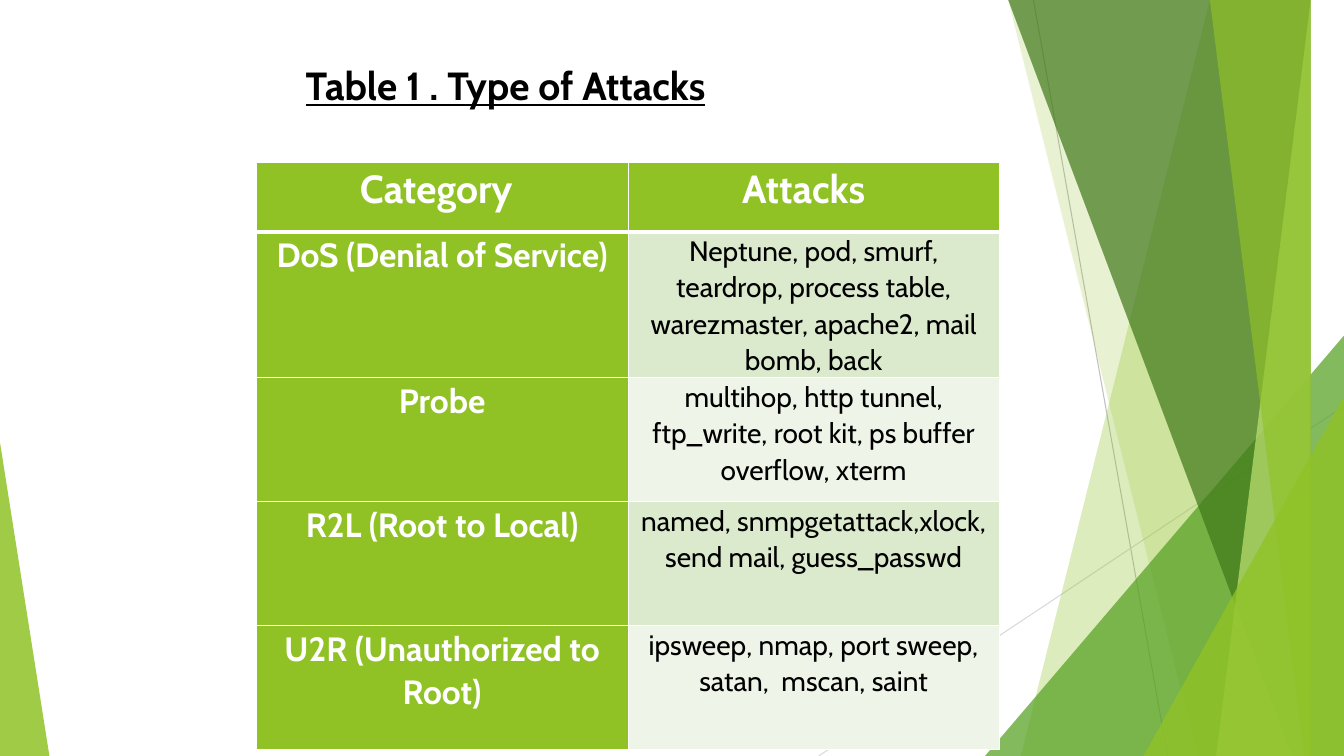
from lxml.etree import SubElement
from pptx import Presentation
from pptx.dml.color import RGBColor
from pptx.enum.shapes import MSO_CONNECTOR as CONNECTOR, MSO_SHAPE as SHAPE
from pptx.enum.text import MSO_AUTO_SIZE as AUTO_SIZE, PP_ALIGN as ALIGN
from pptx.oxml.ns import qn
from pptx.util import Inches, Pt

WIDTH, HEIGHT, BLEED = 13.33, 7.5, -0.01
GREEN, WHITE, BLACK = "90C226", "FFFFFF", "000000"
BANDS = ("DBE9CD", "EEF4E8")

HEADERS = (("Category", 1.03), ("Attacks", 1.13))
ATTACKS = (
    ("DoS (Denial of Service)",
     "Neptune, pod, smurf, teardrop, process table, warezmaster, apache2, mail bomb, back"),
    ("Probe",
     "multihop, http tunnel, ftp_write, root kit, ps buffer overflow, xterm"),
    ("R2L (Root to Local)",
     "named, snmpgetattack,xlock, send mail, guess_passwd"),
    ("U2R (Unauthorized to Root)",
     "ipsweep, nmap, port sweep, satan,  mscan, saint"),
)


def rgb(color):
    return RGBColor.from_string(color)


def apply(target, values):
    for name, value in values.items():
        setattr(target, name, value)


class SlideBuilder:
    font = "Cabin"

    def __init__(self, s):
        self.s = s

    def paint(self, sp, color, alpha):
        sp.shadow.inherit = False
        sp.fill.solid()
        sp.fill.fore_color.rgb = rgb(color)
        sp.line.fill.background()
        clr = sp._element.spPr.find(".//" + qn("a:srgbClr"))
        SubElement(clr, qn("a:alpha"), val=str(alpha * 1000))

    def line(self, x1, y1, x2, y2, color):
        ends = (Inches(v) for v in (x1, y1, x2, y2))
        cn = self.s.shapes.add_connector(CONNECTOR.STRAIGHT, *ends)
        cn.line.color.rgb = rgb(color)
        cn.line.width = Pt(0.75)
        SubElement(cn._element.spPr, qn("a:effectLst"))

    def facet(self, top_x, bottom_x, color, alpha):
        fb = self.s.shapes.build_freeform(top_x, BLEED, scale=Inches(1))
        fb.add_line_segments([(WIDTH, BLEED), (WIDTH, HEIGHT), (bottom_x, HEIGHT)])
        self.paint(fb.convert_to_shape(), color, alpha)

    def triangle(self, left, top, width, apex, color, alpha):
        box = (Inches(v) for v in (left, top, width, HEIGHT - top))
        sp = self.s.shapes.add_shape(SHAPE.ISOSCELES_TRIANGLE, *box)
        sp.adjustments[0] = apex
        self.paint(sp, color, alpha)

    def text(self, tf, text, size, color, **font):
        p = tf.paragraphs[0]
        r = p.add_run()
        r.text = text
        r.font.color.rgb = rgb(color)
        apply(r.font, {"name": self.font, "size": Pt(size), **font})
        return p

    def title(self, text, left, top, width, height):
        box = (Inches(v) for v in (left, top, width, height))
        tf = self.s.shapes.add_textbox(*box).text_frame
        apply(tf, {"word_wrap": True, "margin_left": Inches(0.19),
                   "auto_size": AUTO_SIZE.SHAPE_TO_FIT_TEXT})
        self.text(tf, text, 28, BLACK, bold=True, underline=True)

    def borders(self, cell, top, bottom):
        tcPr = cell._tc.get_or_add_tcPr()
        for side, width in {"L": 1, "R": 1, "T": top, "B": bottom}.items():
            ln = SubElement(tcPr, qn("a:ln" + side), w=str(int(Pt(width))))
            fill = SubElement(ln, qn("a:solidFill"))
            SubElement(fill, qn("a:srgbClr"), val=WHITE)

    def cell(self, cell, text, fill, size, color, bold, indent=0.07,
             align=ALIGN.CENTER, top=1, bottom=1):
        self.borders(cell, top, bottom)
        cell.fill.solid()
        cell.fill.fore_color.rgb = rgb(fill)
        apply(cell, {"margin_left": Inches(indent), "margin_right": Inches(0.07),
                     "margin_top": 0, "margin_bottom": 0})
        p = self.text(cell.text_frame, text, size, color, bold=bold)
        apply(p, {"alignment": align, "line_spacing": 1.07})

    def table(self, left, top, widths, heights):
        box = (Inches(v) for v in (left, top, sum(widths), sum(heights)))
        table = self.s.shapes.add_table(len(heights), len(widths), *box).table
        table.horz_banding = False
        for column, width in zip(table.columns, widths):
            column.width = Inches(width)
        for row, height in zip(table.rows, heights):
            row.height = Inches(height)
        for c, (header, indent) in enumerate(HEADERS):
            self.cell(table.cell(0, c), header, GREEN, 28, WHITE, True,
                      indent, ALIGN.LEFT, bottom=3)
        for r, (category, attacks) in enumerate(ATTACKS, 1):
            edge = 3 if r == 1 else 1
            self.cell(table.cell(r, 0), category, GREEN, 24, WHITE, True, top=edge)
            self.cell(table.cell(r, 1), attacks, BANDS[(r - 1) % 2], 20, BLACK,
                      False, top=edge)


def main():
    prs = Presentation()
    apply(prs, {"slide_width": Inches(WIDTH), "slide_height": Inches(HEIGHT)})
    slide = SlideBuilder(prs.slides.add_slide(prs.slide_layouts[6]))

    slide.line(10.25, 0, 11.58, HEIGHT, "BFBFBF")
    slide.line(WIDTH, 4.03, 8.12, HEIGHT, "D9D9D9")
    slide.facet(12.28, 10.04, GREEN, 30)
    slide.facet(10.5, 11.83, GREEN, 20)
    slide.triangle(9.77, 3.33, 3.56, 1, "54A021", 72)
    slide.facet(10.21, 12.91, "3F7819", 70)
    slide.facet(13.03, 11.92, "C0E474", 70)
    slide.facet(11.96, 13.18, GREEN, 65)
    slide.triangle(11.34, 3.93, 1.99, 1, GREEN, 80)
    slide.triangle(0, 4.39, 0.49, 0, GREEN, 85)

    slide.table(2.54, 1.61, (3.69, 3.68), (0.69,) + (1.23,) * len(ATTACKS))
    slide.title("Table 1 . Type of Attacks", 2.84, 0.56, 6.25, 1.04)
    prs.save("out.pptx")


if __name__ == "__main__":
    main()
